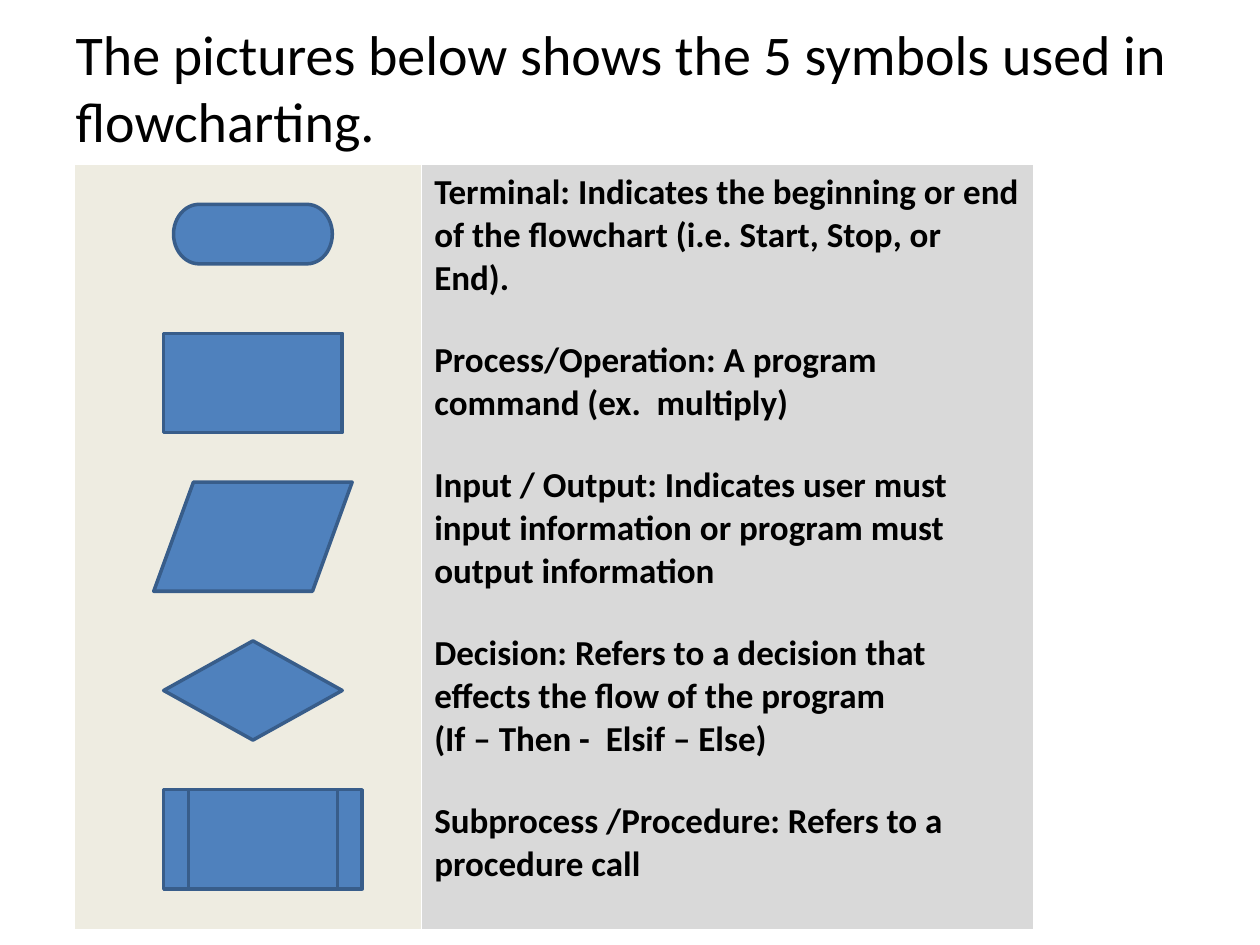
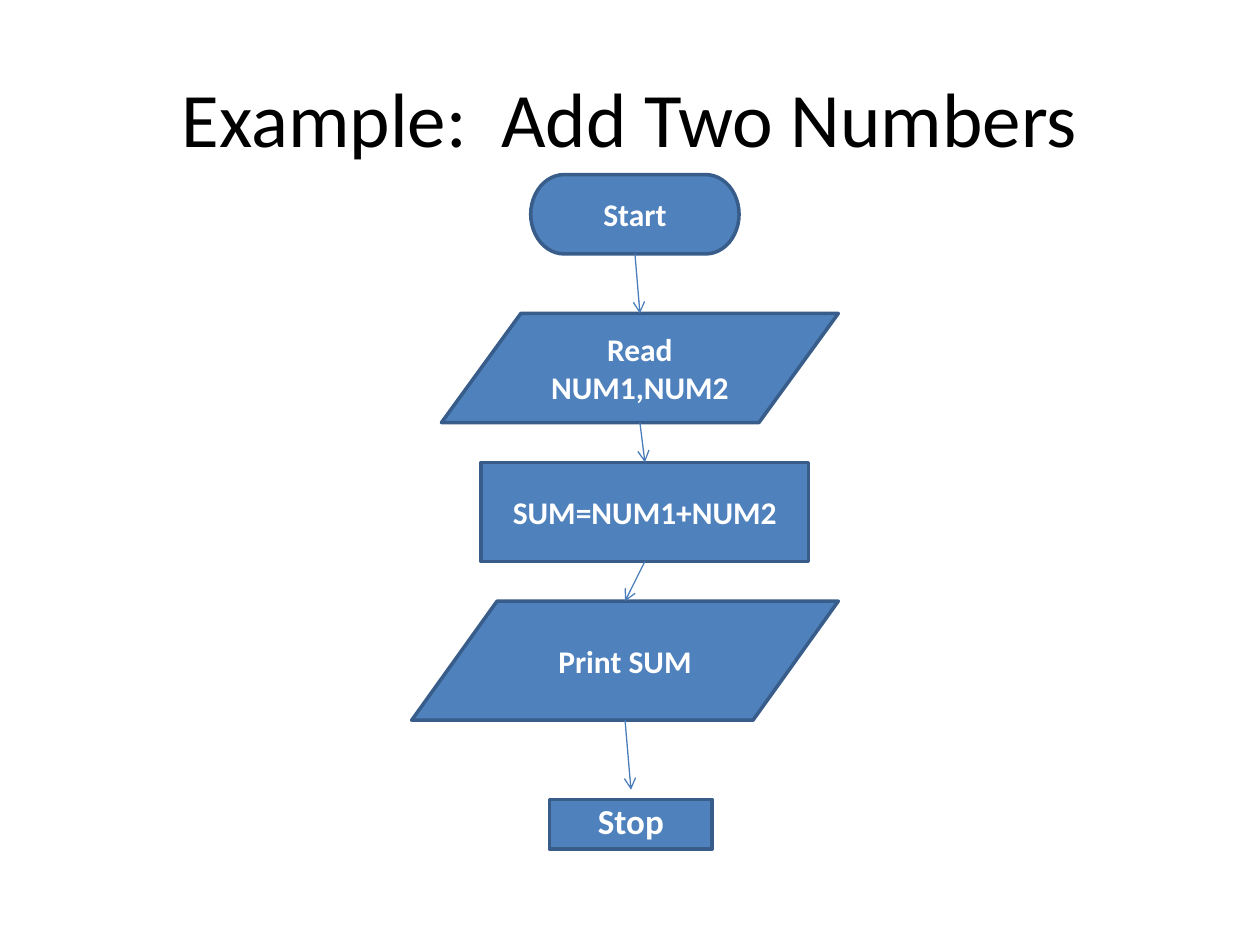
from dataclasses import dataclass
from itertools import pairwise

from lxml.etree import SubElement
from pptx import Presentation
from pptx.dml.color import RGBColor
from pptx.enum.shapes import MSO_CONNECTOR, MSO_SHAPE as Shape
from pptx.enum.text import MSO_ANCHOR as Anchor, MSO_AUTO_SIZE, PP_ALIGN as Align
from pptx.oxml.ns import qn
from pptx.util import Inches, Mm, Pt


@dataclass(frozen=True)
class Theme:
    font: str = "Calibri"
    ink: str = "000000"
    white: str = "FFFFFF"
    symbol_fill: str = "4F81BD"
    symbol_line: str = "385D8A"
    arrow: str = "4A7EBB"
    symbol_column: str = "EEECE1"
    meaning_column: str = "D9D9D9"
    intro_size: int = 32
    title_size: int = 44
    meaning_size: int = 20
    step_size: int = 18
    stop_size: int = 20
    symbol_width: float = 2
    arrow_width: float = 0.75


THEME = Theme()
CELL = 2  # grid pitch in millimetres

# Each place is column, row, columns wide, rows high.
SYMBOLS = [
    (Shape.FLOWCHART_TERMINATOR, (17, 20, 16, 6)),
    (Shape.FLOWCHART_PROCESS, (16, 33, 18, 10)),
    (Shape.FLOWCHART_DATA, (15, 48, 20, 11)),
    (Shape.FLOWCHART_DECISION, (16, 64, 18, 10)),
    (Shape.FLOWCHART_PREDEFINED_PROCESS, (16, 79, 20, 10)),
]
MEANINGS = [
    ["Terminal: Indicates the beginning or end of the flowchart (i.e. Start, Stop, or End)."],
    ["Process/Operation: A program command (ex.  multiply)"],
    ["Input / Output: Indicates user must input information or program must output information"],
    ["Decision: Refers to a decision that effects the flow of the program",
     "(If – Then -  Elsif – Else)"],
    ["Subprocess /Procedure: Refers to a procedure call"],
]
STEPS = [
    (Shape.FLOWCHART_TERMINATOR, (53, 17, 21, 8), "Start"),
    (Shape.FLOWCHART_DATA, (44, 31, 40, 11), "Read NUM1,NUM2"),
    (Shape.FLOWCHART_PROCESS, (48, 46, 33, 10), "SUM=NUM1+NUM2"),
    (Shape.FLOWCHART_DATA, (41, 60, 43, 12), "Print SUM"),
]
STOP_PLACE = (54.9, 80, 16.4, 5)
STOP_GAP = 1  # rows between the last arrowhead and the stop box
TABLE_PLACE = (7, 16, 96.7, 77.2)
TABLE_COLUMNS = (35, 61.7)


def rgb(color):
    return RGBColor.from_string(color)


def span(cells):
    return Mm(cells * CELL)


def place(col, row, cols, rows):
    """Left, top, width and height of a block of grid cells."""
    return Mm(1) + span(col), Mm(1.2) + span(row), span(cols), span(rows)


def format_text(p, size, color, bold=False, align=Align.LEFT):
    p.alignment = align
    for r in p.runs:
        r.font.name = THEME.font
        r.font.size = Pt(size)
        r.font.bold = bold
        r.font.color.rgb = rgb(color)


def add_titled_slide(prs, title, size, align, bottom=0.05):
    slide = prs.slides.add_slide(prs.slide_layouts[5])
    sp = slide.shapes.title
    w, h = prs.slide_width, prs.slide_height
    sp.left, sp.top = int(w * 0.05), int(h * 0.04)
    sp.width, sp.height = int(w * 0.9), h // 6
    tf = sp.text_frame
    tf.text = title
    tf.word_wrap = True
    tf.auto_size = MSO_AUTO_SIZE.NONE
    tf.vertical_anchor = Anchor.MIDDLE
    tf.margin_bottom = Inches(bottom)
    format_text(tf.paragraphs[0], size, THEME.ink, align=align)
    return slide


def add_symbol(slide, kind, cells, text="", size=THEME.step_size):
    sp = slide.shapes.add_shape(kind, *place(*cells))
    sp.shadow.inherit = False
    sp.fill.solid()
    sp.fill.fore_color.rgb = rgb(THEME.symbol_fill)
    sp.line.color.rgb = rgb(THEME.symbol_line)
    sp.line.width = Pt(THEME.symbol_width)
    if text:
        tf = sp.text_frame
        tf.text = text
        tf.word_wrap = True
        tf.vertical_anchor = Anchor.MIDDLE
        format_text(tf.paragraphs[0], size, THEME.white, True, Align.CENTER)
    return sp


def add_arrow(slide, upper, lower, gap=0):
    """Arrow from the bottom centre of one symbol to the top centre of the next."""
    line = slide.shapes.add_connector(
        MSO_CONNECTOR.STRAIGHT,
        upper.left + upper.width // 2, upper.top + upper.height,
        lower.left + lower.width // 2, lower.top - span(gap))
    line.line.color.rgb = rgb(THEME.arrow)
    line.line.width = Pt(THEME.arrow_width)
    SubElement(line.line._get_or_add_ln(), qn("a:tailEnd"), type="arrow")
    SubElement(line._element.spPr, qn("a:effectLst"))


def style_cell(cell, fill):
    tc_pr = cell._tc.get_or_add_tcPr()
    for side, width in (("L", 0.45), ("R", 0.45), ("T", 0.45), ("B", 1.47)):
        ln = SubElement(tc_pr, qn(f"a:ln{side}"), w=str(Pt(width)))
        SubElement(SubElement(ln, qn("a:solidFill")), qn("a:srgbClr"), val=THEME.white)
    cell.fill.solid()
    cell.fill.fore_color.rgb = rgb(fill)


def add_meaning_table(slide):
    table = slide.shapes.add_table(1, 2, *place(*TABLE_PLACE)).table
    table.first_row = table.horz_banding = False
    for column, cols in zip(table.columns, TABLE_COLUMNS):
        column.width = span(cols)
    fills = (THEME.symbol_column, THEME.meaning_column)
    for cell, fill in zip(table.rows[0].cells, fills):
        style_cell(cell, fill)

    tf = table.cell(0, 1).text_frame
    tf.text = "\n".join(line for lines in MEANINGS for line in lines)
    openings = {lines[0] for lines in MEANINGS[1:]}
    for p in tf.paragraphs:
        p.space_before = Pt(22.5 if p.text in openings else 0)
        format_text(p, THEME.meaning_size, THEME.ink, True)


def build_symbols_slide(prs):
    slide = add_titled_slide(
        prs, "The pictures below shows the 5 symbols used in flowcharting.",
        THEME.intro_size, Align.LEFT, bottom=0.52)
    add_meaning_table(slide)
    for kind, cells in SYMBOLS:
        add_symbol(slide, kind, cells)


def build_example_slide(prs):
    slide = add_titled_slide(prs, "Example:  Add Two Numbers",
                             THEME.title_size, Align.CENTER)
    steps = [add_symbol(slide, *step) for step in STEPS]
    stop = add_symbol(slide, Shape.RECTANGLE, STOP_PLACE, "Stop", THEME.stop_size)
    p = stop.text_frame.paragraphs[0]
    p.line_spacing = 0.8
    p.space_before = Pt(5)
    for upper, lower in pairwise(steps):
        add_arrow(slide, upper, lower)
    add_arrow(slide, steps[-1], stop, STOP_GAP)


def main():
    prs = Presentation()
    prs.slide_width, prs.slide_height = Inches(10), Inches(7.5)
    build_symbols_slide(prs)
    build_example_slide(prs)
    prs.save("out.pptx")


if __name__ == "__main__":
    main()
